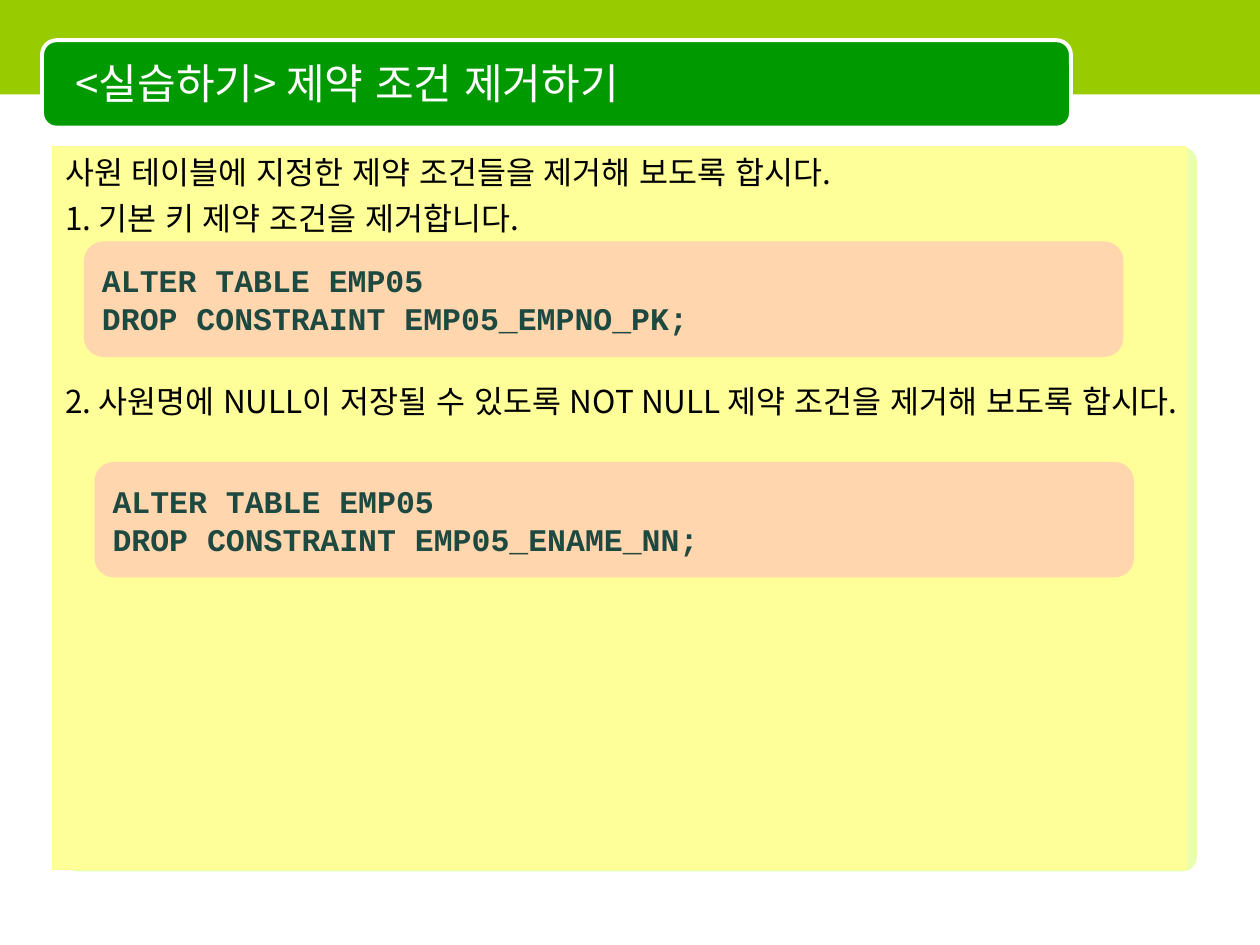
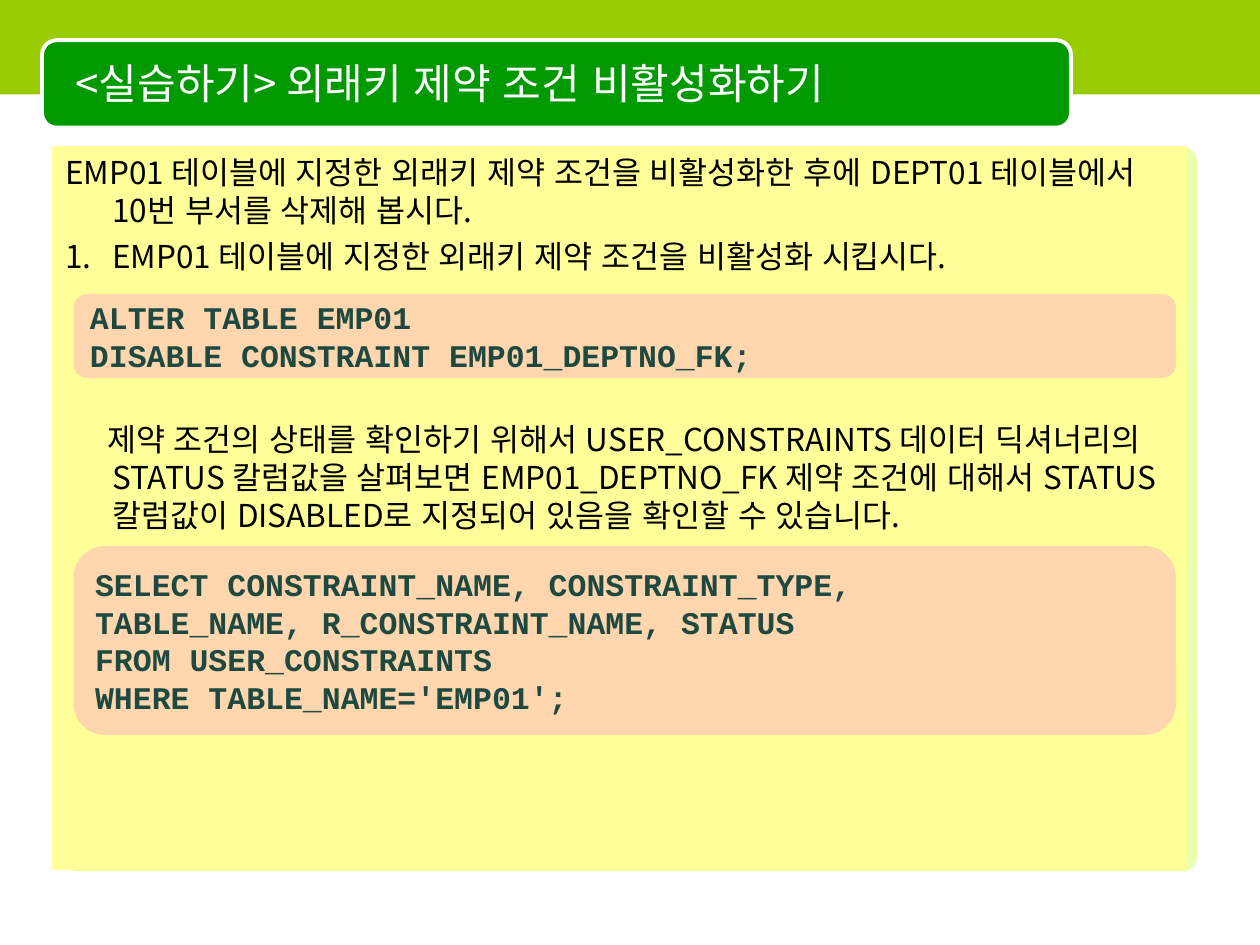
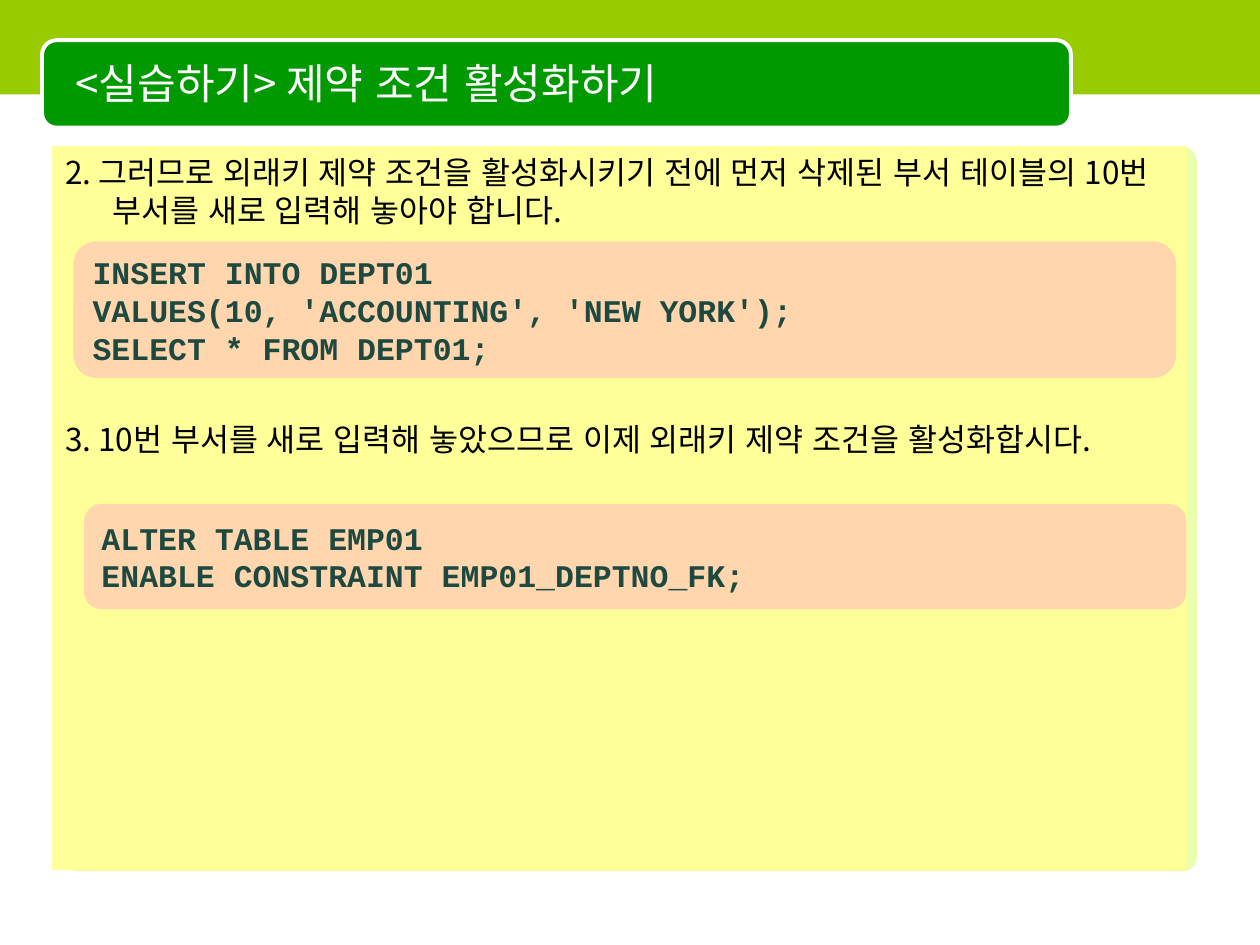
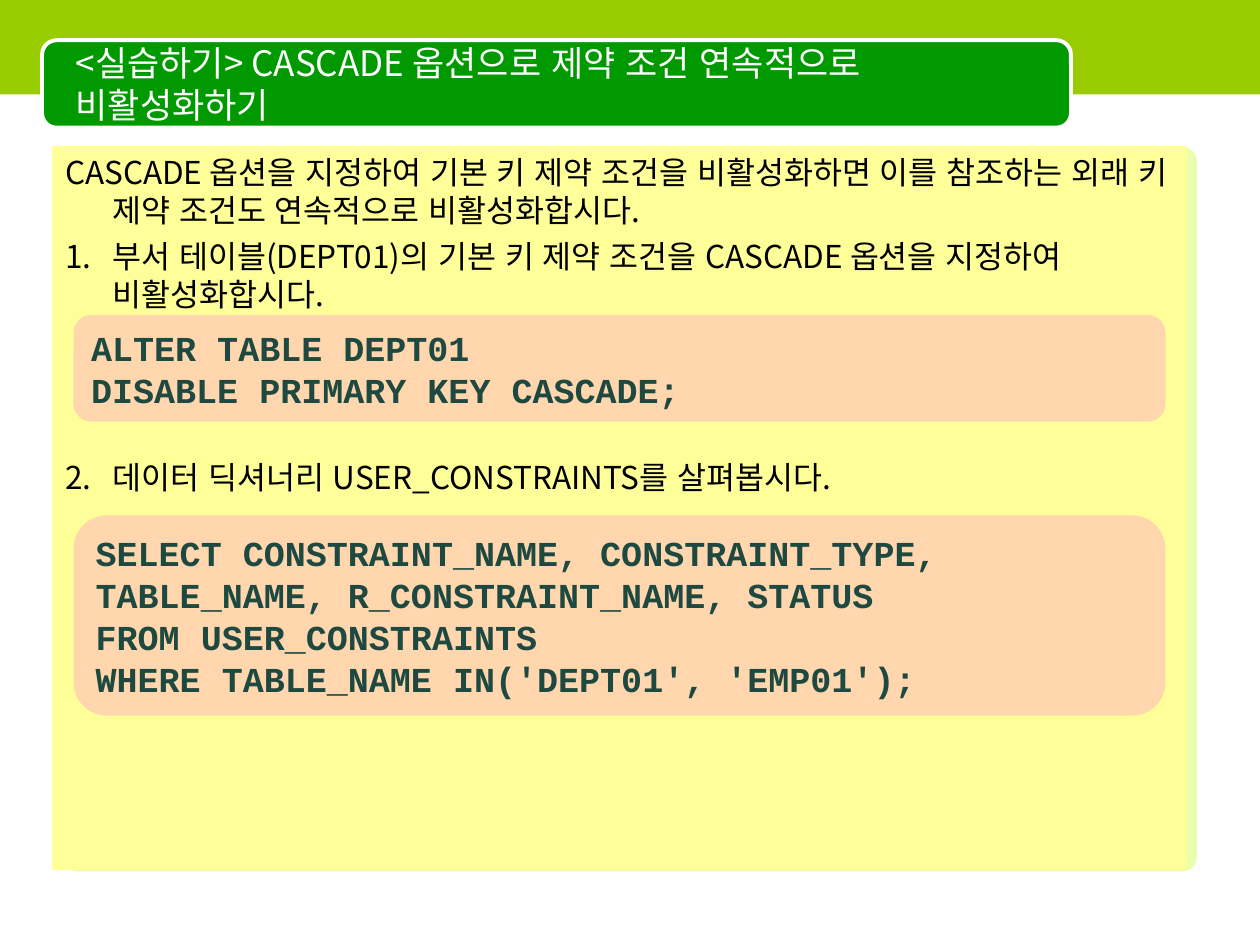
from lxml import etree
from pptx import Presentation
from pptx.dml.color import RGBColor
from pptx.enum.lang import MSO_LANGUAGE_ID
from pptx.enum.shapes import MSO_SHAPE
from pptx.enum.text import MSO_ANCHOR, MSO_AUTO_SIZE, PP_ALIGN
from pptx.oxml.ns import qn
from pptx.util import Pt

RECTANGLE = MSO_SHAPE.RECTANGLE
ROUNDED = MSO_SHAPE.ROUNDED_RECTANGLE
MIDDLE, TOP = MSO_ANCHOR.MIDDLE, MSO_ANCHOR.TOP
LEFT = PP_ALIGN.LEFT
KOREAN = MSO_LANGUAGE_ID.KOREAN
NO_AUTOFIT = MSO_AUTO_SIZE.NONE

COLORS = {
    "band": "99CC00",
    "banner": "009900",
    "edge": "CCFF33",
    "panel": "FFFF99",
    "code_box": "FF99CC",
    "code": "1D4940",
    "text": "000000",
    "white": "FFFFFF",
}
BODY_FONT = "Noto Sans CJK KR"
CODE_FONT = "Courier New"
HANGING = 27
SPACE_BEFORE = 4.5
LINE_STEP = 26.2  # one body line with its space before

# Body entries: text, lines left free above it, numbered or not, first-line indent
# Code entries: left, top, width, height, lines
SLIDES = [
    {
        "title": "<실습하기> 제약 조건 제거하기",
        "body": [
            ("사원 테이블에 지정한 제약 조건들을 제거해 보도록 합시다.", 0, False, -HANGING),
            ("1. 기본 키 제약 조건을 제거합니다.", 0, False, -HANGING),
            ("2. 사원명에 NULL이 저장될 수 있도록 NOT NULL 제약 조건을 제거해 보도록 합시다.",
             3, False, -HANGING),
        ],
        "code": [
            (48, 138, 594, 66, ["ALTER TABLE EMP05", "DROP CONSTRAINT EMP05_EMPNO_PK;"]),
            (54, 264, 594, 66, ["ALTER TABLE EMP05", "DROP CONSTRAINT EMP05_ENAME_NN;"]),
        ],
    },
    {
        "title": "<실습하기> 외래키 제약 조건 비활성화하기",
        "body": [
            ("EMP01 테이블에 지정한 외래키 제약 조건을 비활성화한 후에 DEPT01 테이블에서 "
             "10번 부서를 삭제해 봅시다.", 0, False, -HANGING),
            ("EMP01 테이블에 지정한 외래키 제약 조건을 비활성화 시킵시다.", 0, True, -HANGING),
            ("제약 조건의 상태를 확인하기 위해서 USER_CONSTRAINTS 데이터 딕셔너리의 "
             "STATUS 칼럼값을 살펴보면 EMP01_DEPTNO_FK 제약 조건에 대해서 "
             "STATUS 칼럼값이 DISABLED로 지정되어 있음을 확인할 수 있습니다.", 3, False, -3),
        ],
        "code": [
            (42, 168, 630, 48, ["ALTER TABLE EMP01", "DISABLE CONSTRAINT EMP01_DEPTNO_FK;"]),
            (42, 312, 630, 108, [
                "SELECT CONSTRAINT_NAME, CONSTRAINT_TYPE,",
                "TABLE_NAME, R_CONSTRAINT_NAME, STATUS",
                "FROM USER_CONSTRAINTS",
                "WHERE TABLE_NAME='EMP01';",
            ]),
        ],
    },
    {
        "title": "<실습하기> 제약 조건 활성화하기",
        "body": [
            ("2. 그러므로 외래키 제약 조건을 활성화시키기 전에 먼저 삭제된 부서 테이블의 "
             "10번 부서를 새로 입력해 놓아야 합니다.", 0, False, -HANGING),
            ("3. 10번 부서를 새로 입력해 놓았으므로 이제 외래키 제약 조건을 활성화합시다.",
             4, False, -HANGING),
        ],
        "code": [
            (42, 138, 630, 78, [
                "INSERT INTO DEPT01",
                "VALUES(10, 'ACCOUNTING', 'NEW YORK');",
                "SELECT * FROM DEPT01;",
            ]),
            (48, 288, 630, 60, ["ALTER TABLE EMP01", "ENABLE CONSTRAINT EMP01_DEPTNO_FK;"]),
        ],
    },
    {
        "title": "<실습하기> CASCADE 옵션으로 제약 조건 연속적으로 비활성화하기",
        "title_size": 20,
        "code_size": 20,
        "body": [
            ("CASCADE 옵션을 지정하여 기본 키 제약 조건을 비활성화하면 이를 참조하는 외래 키 "
             "제약 조건도 연속적으로 비활성화합시다.", 0, False, -HANGING),
            ("부서 테이블(DEPT01)의 기본 키 제약 조건을 CASCADE 옵션을 지정하여 비활성화합시다.",
             0, True, -HANGING),
            ("데이터 딕셔너리 USER_CONSTRAINTS를 살펴봅시다.", 3, True, -HANGING),
        ],
        "code": [
            (42, 180, 624, 61, ["ALTER TABLE DEPT01", "DISABLE PRIMARY KEY CASCADE;"]),
            (42, 294.5, 624, 114.5, [
                "SELECT CONSTRAINT_NAME, CONSTRAINT_TYPE,",
                "TABLE_NAME, R_CONSTRAINT_NAME, STATUS",
                "FROM USER_CONSTRAINTS",
                "WHERE TABLE_NAME IN('DEPT01', 'EMP01');",
            ]),
        ],
    },
]


def write_text(shape, lines, *, font, size, color, bold=False, anchor=MIDDLE):
    """Fill a shape with one paragraph per line and return the paragraphs."""
    frame = shape.text_frame
    frame.text = "\n".join(lines)
    frame.word_wrap = True
    frame.auto_size = NO_AUTOFIT
    frame.vertical_anchor = anchor
    for paragraph in frame.paragraphs:
        paragraph.alignment = LEFT
        run_font = paragraph.runs[0].font
        run_font.name = font
        run_font.size = Pt(size)
        run_font.bold = bold
        run_font.color.rgb = RGBColor.from_string(COLORS[color])
        run_font.language_id = KOREAN
        properties = paragraph.runs[0]._r.get_or_add_rPr()
        etree.SubElement(properties, qn("a:ea"), typeface=font)
    return frame.paragraphs


def add_box(slide, kind, left, top, width, height, fill, opacity=100, corner=None):
    shape = slide.shapes.add_shape(kind, Pt(left), Pt(top), Pt(width), Pt(height))
    shape.shadow.inherit = False
    shape.fill.solid()
    shape.fill.fore_color.rgb = RGBColor.from_string(COLORS[fill])
    shape.line.fill.background()
    if opacity < 100:
        color = shape.element.spPr.find(".//" + qn("a:srgbClr"))
        etree.SubElement(color, qn("a:alpha"), val=str(opacity * 1000))
    if corner is not None:
        shape.adjustments[0] = corner
    return shape


presentation = Presentation()
presentation.slide_width, presentation.slide_height = Pt(720), Pt(540)
layout = presentation.slide_layouts[1]
for placeholder in list(layout.placeholders)[2:]:
    layout.shapes.element.remove(placeholder.element)

slides = [presentation.slides.add_slide(layout) for _ in SLIDES]

# Shared decoration is drawn once and moved to the layout
edge = add_box(slides[0], ROUNDED, 36, 84, 648, 414, "edge", opacity=40, corner=0.02)
band = add_box(slides[0], RECTANGLE, 0, 0, 720, 54, "band")
banner = add_box(slides[0], ROUNDED, 24, 23, 588, 50, "banner")
banner.line.color.rgb = RGBColor.from_string(COLORS["white"])
banner.line.width = Pt(2.25)
for decoration in (edge, band, banner):
    layout.shapes.element.append(decoration.element)

for slide, content in zip(slides, SLIDES):
    title, panel = slide.placeholders
    title.left, title.top, title.width, title.height = Pt(36), Pt(25), Pt(570), Pt(45)
    write_text(title, [content["title"]], font=BODY_FONT,
               size=content.get("title_size", 24), color="white")

    panel.left, panel.top, panel.width, panel.height = Pt(30), Pt(84), Pt(648), Pt(413)
    panel.fill.solid()
    panel.fill.fore_color.rgb = RGBColor.from_string(COLORS["panel"])
    panel.line.color.rgb = RGBColor.from_string(COLORS["panel"])
    panel.line.width = Pt(0.75)
    paragraphs = write_text(panel, [entry[0] for entry in content["body"]],
                            font=BODY_FONT, size=18, color="text", anchor=TOP)
    for paragraph, (_, free_lines, numbered, indent) in zip(paragraphs, content["body"]):
        paragraph.space_before = Pt(SPACE_BEFORE + free_lines * LINE_STEP)
        properties = paragraph._p.get_or_add_pPr()
        properties.set("marL", str(Pt(HANGING)))
        properties.set("indent", str(Pt(indent)))
        if numbered:
            etree.SubElement(properties, qn("a:buFont"), typeface=BODY_FONT)
            etree.SubElement(properties, qn("a:buAutoNum"), type="arabicPeriod")
        else:
            etree.SubElement(properties, qn("a:buNone"))

    for left, top, width, height, lines in content["code"]:
        code_box = add_box(slide, ROUNDED, left, top, width, height, "code_box", opacity=40)
        write_text(code_box, lines, font=CODE_FONT, size=content.get("code_size", 18),
                   color="code", bold=True)

presentation.save("out.pptx")
